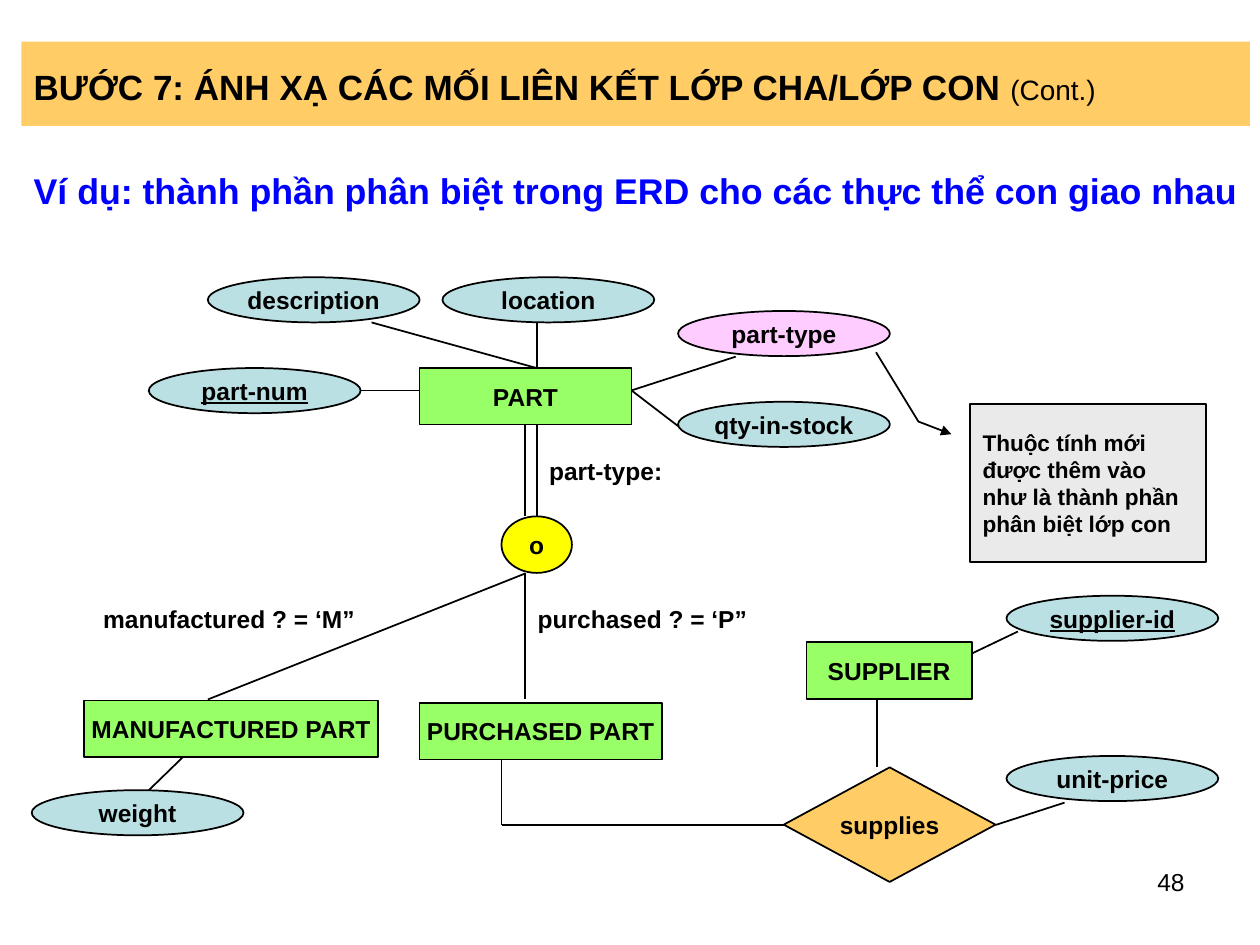
import pptx
import pptx.dml.color
import pptx.enum.shapes
import pptx.enum.text
import pptx.oxml.ns
import pptx.util
from lxml import etree

Cm = pptx.util.Cm
Pt = pptx.util.Pt
RGBColor = pptx.dml.color.RGBColor
SHAPE = pptx.enum.shapes.MSO_SHAPE
ALIGN = pptx.enum.text.PP_ALIGN
ANCHOR = pptx.enum.text.MSO_ANCHOR
qn = pptx.oxml.ns.qn

BLACK = RGBColor(0x00, 0x00, 0x00)
BLUE = RGBColor(0x00, 0x00, 0xFF)
ORANGE = RGBColor(0xFF, 0xCC, 0x66)
TEAL = RGBColor(0xBB, 0xE0, 0xE3)
PINK = RGBColor(0xFF, 0xCC, 0xFF)
GREEN = RGBColor(0x99, 0xFF, 0x66)
YELLOW = RGBColor(0xFF, 0xFF, 0x00)
GREY = RGBColor(0xEA, 0xEA, 0xEA)

ATTR_W, ATTR_H = 4.27, 0.91
ENTITY_H = 1.14

# text, left, top, fill, underlined key
ATTRIBUTES = [
    ("description", 4.19, 5.59, TEAL, False),
    ("location", 8.92, 5.59, TEAL, False),
    ("part-type", 13.67, 6.27, PINK, False),
    ("part-num", 3, 7.42, TEAL, True),
    ("qty-in-stock", 13.67, 8.1, TEAL, False),
    ("supplier-id", 20.29, 12.01, TEAL, True),
    ("unit-price", 20.29, 15.24, TEAL, False),
    ("weight", 0.64, 15.93, TEAL, False),
]

# text, left, top, width
ENTITIES = [
    ("PART", 8.46, 7.42, 4.27),
    ("SUPPLIER", 16.26, 12.95, 3.33),
    ("MANUFACTURED PART", 1.7, 14.12, 5.92),
    ("PURCHASED PART", 8.46, 14.17, 4.88),
]

# text, left, top
LABELS = [
    ("part-type:", 10.82, 9.04),
    ("manufactured ? = ‘M”", 1.83, 12.01),
    ("purchased ? = ‘P”", 10.59, 12.01),
]

# x1, y1, x2, y2
LINKS = [
    (10.82, 6.5, 10.82, 7.42),      # location - PART
    (10.82, 7.42, 7.49, 6.5),       # description - PART
    (14.83, 7.19, 12.73, 7.87),     # part-type - PART
    (12.73, 7.87, 13.67, 8.59),     # qty-in-stock - PART
    (8.46, 7.87, 7.27, 7.87),       # part-num - PART
    (10.59, 8.57, 10.59, 10.41),    # double line PART - o
    (10.82, 8.57, 10.82, 10.41),
    (10.59, 11.56, 4.19, 14.1),     # o - MANUFACTURED PART
    (10.59, 11.56, 10.59, 14.1),    # o - PURCHASED PART
    (3.71, 15.24, 3, 15.93),        # weight
    (17.68, 14.1, 17.68, 15.47),    # SUPPLIER - supplies
    (20.52, 12.73, 19.58, 13.18),   # supplier-id
    (20.07, 16.63, 21.46, 16.18),   # unit-price
    (15.8, 16.63, 10.11, 16.63),    # supplies - PURCHASED PART
    (10.11, 15.24, 10.11, 16.63),
]


def add_run(p, text, size, bold, underline, color):
    r = p.add_run()
    r.text = text
    r.font.name = "Arial"
    r.font.size = Pt(size)
    r.font.bold = bold
    r.font.underline = underline
    r.font.color.rgb = color
    return r


def write_text(s, text, *, size=14, bold=True, underline=None, color=BLACK,
               align=ALIGN.LEFT, anchor=ANCHOR.MIDDLE, wrap=False, spacing=None):
    """Fill the first paragraph of a shape and return it."""
    tf = s.text_frame
    tf.word_wrap = wrap
    tf.vertical_anchor = anchor
    p = tf.paragraphs[0]
    p.alignment = align
    if spacing:
        p.line_spacing = spacing
    add_run(p, text, size, bold, underline, color)
    return p


def add_shape(slide, kind, x, y, w, h, fill, outlined=True):
    s = slide.shapes.add_shape(kind, Cm(x), Cm(y), Cm(w), Cm(h))
    s.shadow.inherit = False
    s.fill.solid()
    s.fill.fore_color.rgb = fill
    if outlined:
        s.line.color.rgb = BLACK
        s.line.width = Pt(1)
    else:
        s.line.fill.background()
    return s


def add_node(slide, kind, text, x, y, w, h, fill, underline=None):
    s = add_shape(slide, kind, x, y, w, h, fill)
    write_text(s, text, align=ALIGN.CENTER, underline=underline)


def add_text(slide, text, x, y, w, h, **style):
    s = slide.shapes.add_textbox(Cm(x), Cm(y), Cm(w), Cm(h))
    write_text(s, text, **style)


def add_link(slide, x1, y1, x2, y2):
    c = slide.shapes.add_connector(
        pptx.enum.shapes.MSO_CONNECTOR.STRAIGHT, Cm(x1), Cm(y1), Cm(x2), Cm(y2))
    c.line.color.rgb = BLACK
    c.line.width = Pt(1)
    etree.SubElement(c._element.spPr, qn("a:effectLst"))


def add_title(slide):
    s = add_shape(slide, SHAPE.RECTANGLE, 0.43, 0.84, 24.77, 1.7, ORANGE, outlined=False)
    p = write_text(s, "BƯỚC 7: ÁNH XẠ CÁC MỐI LIÊN KẾT LỚP CHA/LỚP CON ",
                   size=20, wrap=True, spacing=1.15)
    add_run(p, "(Cont.)", 16, False, None, BLACK)


def add_callout(slide):
    """Note whose bent leader has its arrowhead at the note's end."""
    s = add_shape(slide, SHAPE.LINE_CALLOUT_2, 19.56, 8.15, 4.75, 3.18, GREY)
    for i, value in enumerate((0.19, -0.08, 0.11, -0.22, -0.33, -0.4)):
        s.adjustments[i] = value
    etree.SubElement(s.line._get_or_add_ln(), qn("a:headEnd"), type="triangle")
    write_text(s, "Thuộc tính mới được thêm vào như là thành phần phân biệt lớp con",
               size=12.9, wrap=True)


def main():
    prs = pptx.Presentation()
    prs.slide_width, prs.slide_height = Cm(25.4), Cm(19.05)
    slide = prs.slides.add_slide(prs.slide_layouts[6])

    add_title(slide)
    add_text(slide, "Ví dụ: thành phần phân biệt trong ERD cho các thực thể con giao nhau",
             0.43, 2.97, 24.77, 1.7, size=20.4, color=BLUE, wrap=True, spacing=1.05)
    for link in LINKS:
        add_link(slide, *link)
    for text, x, y, fill, key in ATTRIBUTES:
        add_node(slide, SHAPE.OVAL, text, x, y, ATTR_W, ATTR_H, fill, underline=key)
    for text, x, y, w in ENTITIES:
        add_node(slide, SHAPE.RECTANGLE, text, x, y, w, ENTITY_H, GREEN)
    add_node(slide, SHAPE.OVAL, "o", 10.11, 10.41, 1.42, ENTITY_H, YELLOW)
    add_node(slide, SHAPE.DIAMOND, "supplies", 15.8, 15.47, 4.27, 2.31, ORANGE)
    for text, x, y in LABELS:
        add_text(slide, text, x, y, 5.69, 0.91)
    add_callout(slide)
    add_text(slide, "48", 18.21, 17.35, 5.92, 1.32, bold=False,
             align=ALIGN.RIGHT, anchor=ANCHOR.TOP, wrap=True)

    prs.save("out.pptx")


if __name__ == "__main__":
    main()
